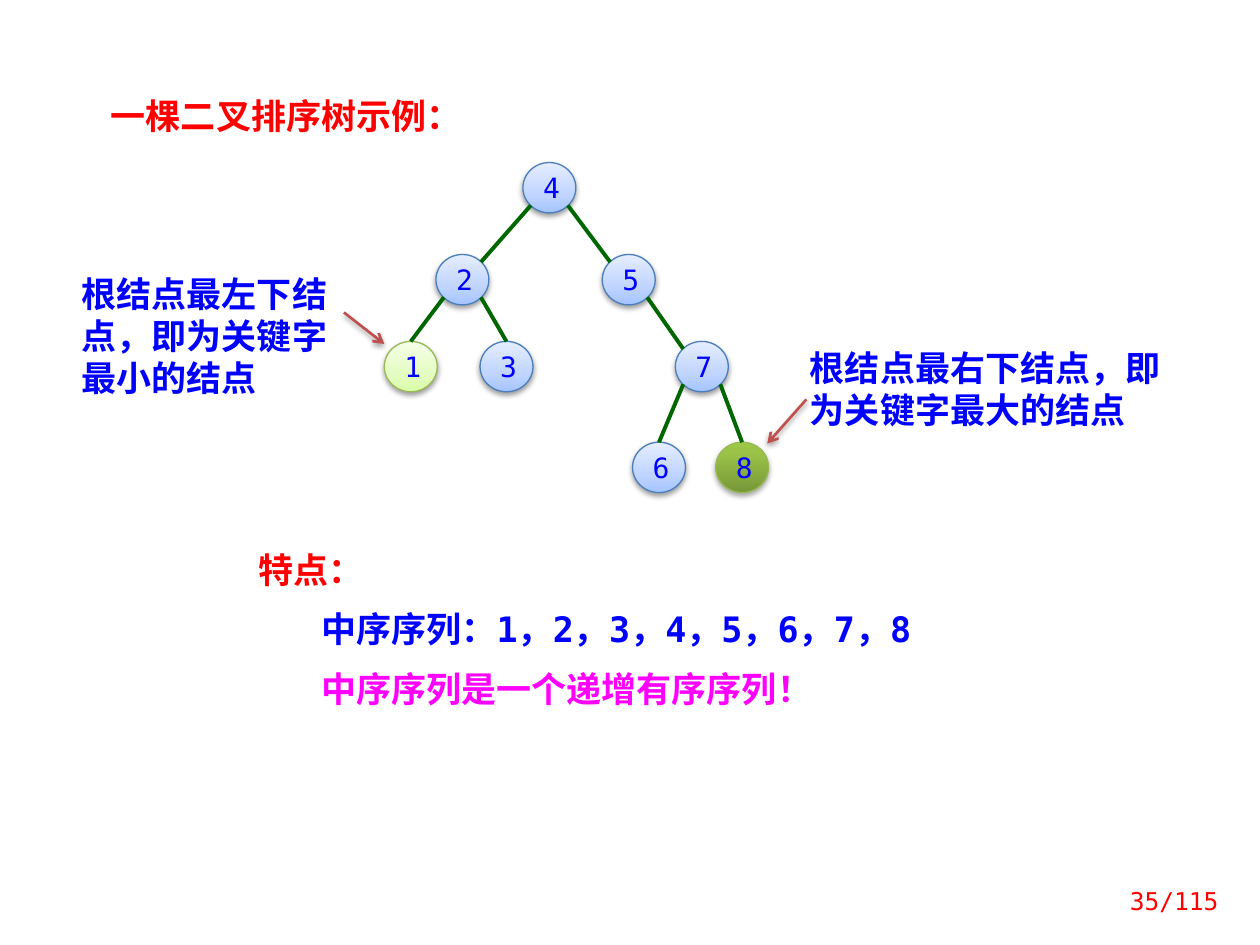
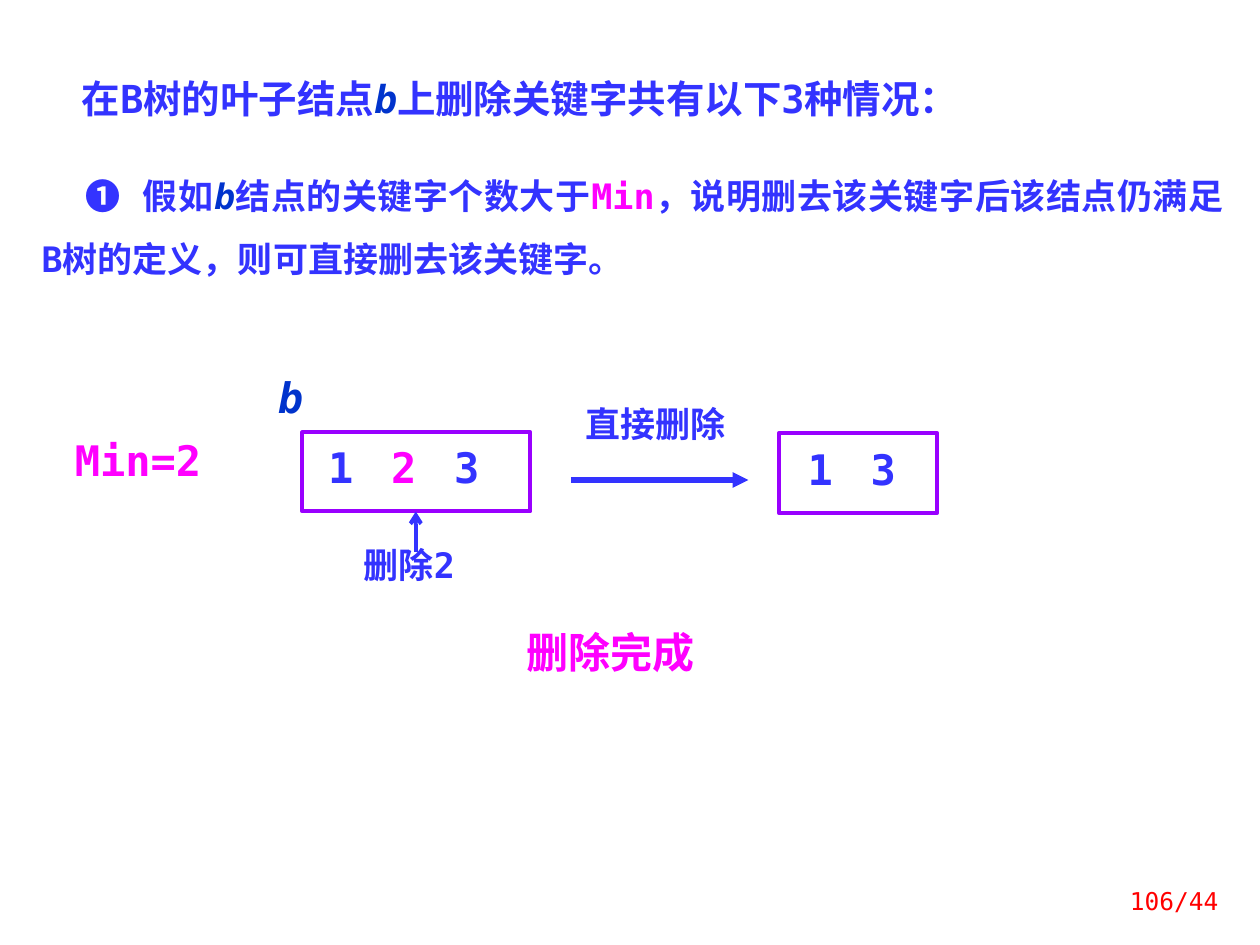
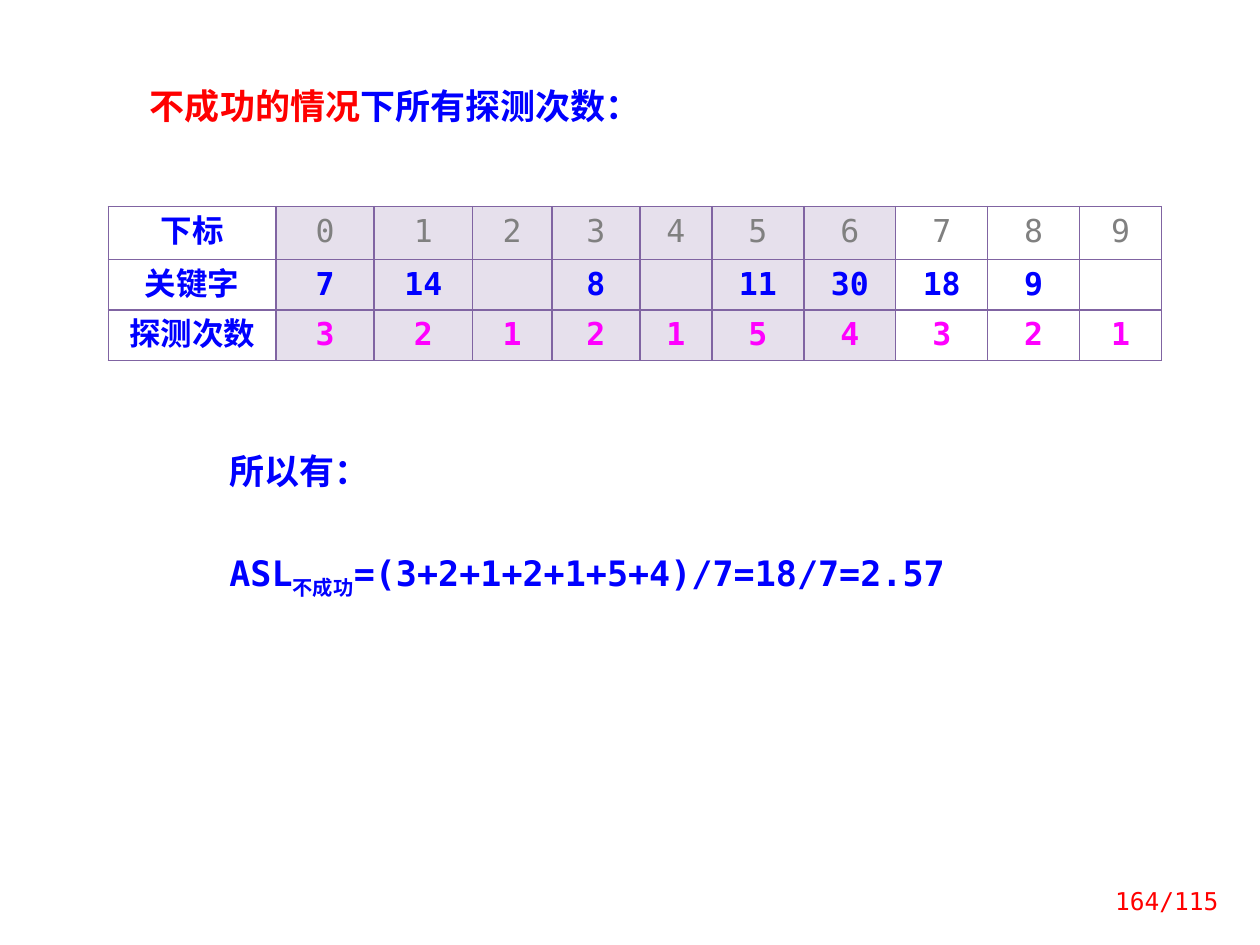
from dataclasses import dataclass
from enum import Enum
from typing import NamedTuple

from lxml.etree import SubElement
from pptx import Presentation
from pptx.dml.color import RGBColor
from pptx.enum.shapes import MSO_CONNECTOR, MSO_SHAPE
from pptx.enum.text import MSO_ANCHOR, MSO_AUTO_SIZE, PP_ALIGN
from pptx.oxml import parse_xml
from pptx.oxml.ns import nsdecls, qn
from pptx.util import Inches, Pt

# Shared look
MONO = "DejaVu Sans Mono"
CJK = "Noto Sans CJK SC"
RED, BLUE, MAGENTA = "FF0000", "0000FF", "FF00FF"
INDIGO, NAVY, PURPLE = "3333FF", "0033CC", "9900FF"
GREEN, BRICK, GRAY = "006600", "C0504D", "808080"
VIOLET, LILAC, WHITE = "8064A2", "E6E0EC", "FFFFFF"
DEFAULT_INSET = (0.1, 0.05)
KEY_STEP, KEY_WIDTH = 0.6, 0.2
SHADOW_ALPHA = 38


class Box(NamedTuple):
    left: float
    top: float
    width: float
    height: float


class Run(NamedTuple):
    text: str
    color: str
    italic: bool = False
    subscript: bool = False


@dataclass
class Paragraph:
    runs: list[Run]
    size: float = 20
    bold: bool = True
    font: str = MONO
    align: PP_ALIGN = PP_ALIGN.LEFT
    spacing: float | Pt = 1.0
    before: float = 0
    level: int = 0
    margin: float = 0
    indent: float = 0
    tabs: tuple[float, ...] = ()


@dataclass
class Label:
    box: Box
    text: str
    color: str
    size: float = 20
    italic: bool = False
    align: PP_ALIGN = PP_ALIGN.CENTER
    spacing: float = 0.8
    inset: tuple[float, float] = DEFAULT_INSET


class NodeStyle(NamedTuple):
    stops: tuple[tuple[int, str], ...]
    line: str
    shadow_alpha: int = SHADOW_ALPHA


class Site(Enum):
    """Points on a node's rim, as fractions of its size from its centre."""
    TOP = (0, -0.5)
    TOP_LEFT = (-0.35, -0.35)
    TOP_RIGHT = (0.35, -0.35)
    BOTTOM_LEFT = (-0.35, 0.35)
    BOTTOM_RIGHT = (0.35, 0.35)


class Edge(NamedTuple):
    parent: str
    parent_site: Site
    child: str
    child_site: Site


def rgb(color: str) -> RGBColor:
    return RGBColor.from_string(color)


# Text
def style_font(font, spec_paragraph: Paragraph, run: Run) -> None:
    font.name = spec_paragraph.font
    font.size = Pt(spec_paragraph.size)
    font.bold = spec_paragraph.bold
    font.italic = run.italic
    font.color.rgb = rgb(run.color)


def write_paragraph(paragraph, content: Paragraph) -> None:
    paragraph.alignment = content.align
    paragraph.line_spacing = content.spacing
    paragraph.space_before = Pt(content.before)
    paragraph.level = content.level
    properties = paragraph._p.get_or_add_pPr()
    properties.set("marL", str(Inches(content.margin)))
    properties.set("indent", str(Inches(content.indent)))
    SubElement(properties, qn("a:buNone"))
    if content.tabs:
        tab_list = SubElement(properties, qn("a:tabLst"))
        for position in content.tabs:
            SubElement(tab_list, qn("a:tab"), pos=str(Inches(position)), algn="l")
    for item in content.runs:
        run = paragraph.add_run()
        run.text = item.text
        if len(content.runs) > 1:
            style_font(run.font, content, item)
        if item.subscript:
            run._r.get_or_add_rPr().set("baseline", "-25000")
    if len(content.runs) == 1:
        style_font(paragraph.font, content, content.runs[0])


def write_text(shape, contents: list[Paragraph], anchor=MSO_ANCHOR.TOP,
               inset: tuple[float, float] = DEFAULT_INSET) -> None:
    frame = shape.text_frame
    frame.word_wrap = True
    frame.auto_size = MSO_AUTO_SIZE.NONE
    frame.vertical_anchor = anchor
    frame.margin_left = frame.margin_right = Inches(inset[0])
    frame.margin_top = frame.margin_bottom = Inches(inset[1])
    for index, content in enumerate(contents):
        paragraph = frame.add_paragraph() if index else frame.paragraphs[0]
        write_paragraph(paragraph, content)


def fill_placeholder(shape, box: Box, contents: list[Paragraph]) -> None:
    shape.left, shape.top, shape.width, shape.height = map(Inches, box)
    write_text(shape, contents)


def add_label(slide, label: Label, bold: bool = True, anchor=MSO_ANCHOR.TOP) -> None:
    shape = slide.shapes.add_textbox(*map(Inches, label.box))
    content = Paragraph([Run(label.text, label.color, label.italic)], label.size,
                        bold, align=label.align, spacing=label.spacing)
    write_text(shape, [content], anchor, label.inset)


def start_slide(presentation, title_box: Box, title: Paragraph, body_box: Box,
                body: list[Paragraph], page: str):
    slide = presentation.slides.add_slide(presentation.slide_layouts[1])
    fill_placeholder(slide.shapes.title, title_box, [title])
    fill_placeholder(slide.placeholders[1], body_box, body)
    footer = Label(Box(8.63, 6.95, 1.14, 0.4), page, RED, 14,
                   align=PP_ALIGN.RIGHT, spacing=1.0)
    add_label(slide, footer, bold=False, anchor=MSO_ANCHOR.MIDDLE)
    return slide


# Shapes and lines
def set_shadow(shape, alpha: int = 0) -> None:
    effects = SubElement(shape._element.spPr, qn("a:effectLst"))
    if alpha:
        effects.append(parse_xml(
            f'<a:outerShdw {nsdecls("a")} blurRad="{Pt(3.1)}" dist="{Pt(1.6)}" '
            f'dir="5400000" rotWithShape="0"><a:srgbClr val="000000">'
            f'<a:alpha val="{alpha * 1000}"/></a:srgbClr></a:outerShdw>'))


def set_gradient(shape, stops: tuple[tuple[int, str], ...]) -> None:
    shape.fill.background()
    properties = shape._element.spPr
    stop_xml = "".join(f'<a:gs pos="{position * 1000}"><a:srgbClr val="{color}"/></a:gs>'
                       for position, color in stops)
    gradient = parse_xml(f'<a:gradFill {nsdecls("a")} rotWithShape="1"><a:gsLst>{stop_xml}'
                         f'</a:gsLst><a:lin ang="16200000" scaled="0"/></a:gradFill>')
    properties.replace(properties.find(qn("a:noFill")), gradient)


def add_line(slide, start: tuple[float, float], end: tuple[float, float], color: str,
             width: float, head: str = "", shadow_alpha: int = 0) -> None:
    connector = slide.shapes.add_connector(
        MSO_CONNECTOR.STRAIGHT, *map(Inches, (*start, *end)))
    connector.line.color.rgb = rgb(color)
    connector.line.width = Pt(width)
    if head:
        SubElement(connector.line._get_or_add_ln(), qn("a:tailEnd"), type=head)
    set_shadow(connector, shadow_alpha)


# Slide 1: binary search tree
NODE_WIDTH, NODE_HEIGHT = 0.42, 0.4
PLAIN = NodeStyle(((0, "A4C4FF"), (35, "BFD4FF"), (100, "E6EEFF")), "4B7EBC")
SMALLEST = NodeStyle(((0, "DAFDA7"), (35, "E4FCC2"), (100, "F5FFE7")), "98B955")
LARGEST = NodeStyle(((0, "779737"), (80, "9BC348"), (100, "9DC746")), "98B955", 35)
NODE_STYLES = {"1": SMALLEST, "8": LARGEST}
NODES = {"4": (4.15, 1.29), "2": (3.46, 2.02), "1": (3.05, 2.71), "3": (3.81, 2.71),
         "5": (4.78, 2.02), "7": (5.36, 2.71), "6": (5.02, 3.51), "8": (5.68, 3.51)}
EDGES = [
    Edge("4", Site.BOTTOM_LEFT, "2", Site.TOP_RIGHT),
    Edge("2", Site.BOTTOM_LEFT, "1", Site.TOP),
    Edge("2", Site.BOTTOM_RIGHT, "3", Site.TOP),
    Edge("4", Site.BOTTOM_RIGHT, "5", Site.TOP_LEFT),
    Edge("5", Site.BOTTOM_RIGHT, "7", Site.TOP_LEFT),
    Edge("7", Site.BOTTOM_LEFT, "6", Site.TOP),
    Edge("7", Site.BOTTOM_RIGHT, "8", Site.TOP),
]


def add_node(slide, key: str) -> None:
    style = NODE_STYLES.get(key, PLAIN)
    box = Box(*NODES[key], NODE_WIDTH, NODE_HEIGHT)
    shape = slide.shapes.add_shape(MSO_SHAPE.OVAL, *map(Inches, box))
    set_gradient(shape, style.stops)
    shape.line.color.rgb = rgb(style.line)
    shape.line.width = Pt(0.75)
    set_shadow(shape, style.shadow_alpha)
    content = Paragraph([Run(key, BLUE)], 16, bold=False, spacing=Pt(19.2))
    write_text(shape, [content], MSO_ANCHOR.MIDDLE)


def site_point(key: str, site: Site) -> tuple[float, float]:
    left, top = NODES[key]
    across, down = site.value
    return left + NODE_WIDTH * (0.5 + across), top + NODE_HEIGHT * (0.5 + down)


def build_tree_slide(presentation) -> None:
    slide = start_slide(
        presentation, Box(0.78, 0.7, 3.05, 0.44),
        Paragraph([Run("一棵二叉排序树示例：", RED)]),
        Box(1.95, 4.3, 5.86, 1.45),
        [Paragraph([Run("特点：", RED)], font=CJK),
         Paragraph([Run("中序序列：1，2，3，4，5，6，7，8", BLUE)],
                   before=10, level=1, margin=0.5),
         Paragraph([Run("中序序列是一个递增有序序列！", MAGENTA)], font=CJK,
                   before=10, level=1, margin=0.5)],
        "35/115")
    for key in NODES:
        add_node(slide, key)
    for edge in EDGES:
        add_line(slide, site_point(edge.parent, edge.parent_site),
                 site_point(edge.child, edge.child_site), GREEN, 2.25)
    for box, text in [
        (Box(0.55, 2.11, 2.19, 1.11), "根结点最左下结点，即为关键字最小的结点"),
        (Box(6.33, 2.7, 3.13, 0.77), "根结点最右下结点，即为关键字最大的结点"),
    ]:
        add_label(slide, Label(box, text, BLUE, align=PP_ALIGN.LEFT, spacing=1.0))
    for start, end in [((6.4, 3.17), (6.09, 3.52)), ((2.73, 2.48), (3.05, 2.73))]:
        add_line(slide, start, end, BRICK, 1.5, "arrow", SHADOW_ALPHA)


# Slide 2: deleting a key from a B-tree leaf
def add_leaf(slide, box: Box, keys: list[Run]) -> None:
    shape = slide.shapes.add_shape(MSO_SHAPE.RECTANGLE, *map(Inches, box))
    shape.fill.solid()
    shape.fill.fore_color.rgb = rgb(WHITE)
    shape.line.color.rgb = rgb(PURPLE)
    shape.line.width = Pt(2.25)
    shape.shadow.inherit = False
    gaps = len(keys) - 1
    inset = (box.width - gaps * KEY_STEP - KEY_WIDTH) / 2
    runs = [key._replace(text="\t" + key.text) if index else key
            for index, key in enumerate(keys)]
    tabs = tuple(KEY_STEP * (index + 1) for index in range(gaps))
    write_text(shape, [Paragraph(runs, 24, spacing=0.8, tabs=tabs)],
               MSO_ANCHOR.MIDDLE, (inset, 0.05))


def build_deletion_slide(presentation) -> None:
    slide = start_slide(
        presentation, Box(0.55, 0.62, 8.98, 0.47),
        Paragraph([Run("在B树的叶子结点", INDIGO), Run("b", NAVY, italic=True),
                   Run("上删除关键字共有以下3种情况：", INDIGO)], 22, spacing=0.8),
        Box(0.23, 1.17, 9.58, 1.11),
        [Paragraph([Run("❶ 假如", INDIGO), Run("b", NAVY, italic=True),
                    Run("结点的关键字个数大于", INDIGO), Run("Min", MAGENTA),
                    Run("，说明删去该关键字后该结点仍满足B树的定义，则可直接删去该关键字。",
                        INDIGO)],
                   align=PP_ALIGN.JUSTIFY, spacing=1.5, indent=0.35)],
        "106/44")
    one, two, three = Run("1", INDIGO), Run("2", MAGENTA), Run("3", INDIGO)
    add_leaf(slide, Box(2.4, 3.43, 1.81, 0.63), [one, two, three])
    add_leaf(slide, Box(6.18, 3.44, 1.26, 0.63), [one, three])
    for label in [
        Label(Box(1.95, 3.03, 0.71, 0.4), "b", NAVY, 24, italic=True, inset=(0, 0)),
        Label(Box(4.53, 3.26, 1.34, 0.33), "直接删除", INDIGO, inset=(0, 0)),
        Label(Box(2.58, 4.38, 1.34, 0.33), "删除2", INDIGO, inset=(0, 0)),
        Label(Box(3.75, 5, 2.19, 0.5), "删除完成", MAGENTA, 24),
        Label(Box(0.39, 3.48, 1.41, 0.5), "Min=2", MAGENTA, 24),
    ]:
        add_label(slide, label)
    add_line(slide, (4.53, 3.81), (5.94, 3.81), INDIGO, 3, "triangle")
    add_line(slide, (3.3, 4.38), (3.3, 4.06), INDIGO, 2.25, "arrow")


# Slide 3: probe counts of a hash table
COLUMN_WIDTHS = [1.33, 0.78, 0.78, 0.63, 0.7, 0.57, 0.73, 0.73, 0.73, 0.73, 0.65]
ROW_HEIGHTS = [0.42, 0.4, 0.4]
SHADED_COLUMNS = range(1, 8)
PROBE_ROWS = [
    ("下标", GRAY, [str(index) for index in range(10)]),
    ("关键字", BLUE, ["7", "14", "", "8", "", "11", "30", "18", "9", ""]),
    ("探测次数", MAGENTA, ["3", "2", "1", "2", "1", "5", "4", "3", "2", "1"]),
]


def set_borders(cell) -> None:
    properties = cell._tc.get_or_add_tcPr()
    for side in ("lnL", "lnR", "lnT", "lnB"):
        properties.append(parse_xml(
            f'<a:{side} {nsdecls("a")} w="{Pt(1)}"><a:solidFill>'
            f'<a:srgbClr val="{VIOLET}"/></a:solidFill></a:{side}>'))


def add_probe_table(slide) -> None:
    box = Box(0.86, 1.64, sum(COLUMN_WIDTHS), sum(ROW_HEIGHTS))
    table = slide.shapes.add_table(
        len(ROW_HEIGHTS), len(COLUMN_WIDTHS), *map(Inches, box)).table
    table.first_row = table.horz_banding = False
    for column, width in zip(table.columns, COLUMN_WIDTHS):
        column.width = Inches(width)
    for row, height, (heading, color, values) in zip(table.rows, ROW_HEIGHTS, PROBE_ROWS):
        row.height = Inches(height)
        for index, (cell, text) in enumerate(zip(row.cells, [heading, *values])):
            set_borders(cell)
            if index in SHADED_COLUMNS:
                cell.fill.solid()
                cell.fill.fore_color.rgb = rgb(LILAC)
            else:
                cell.fill.background()
            cell.text = text
            paragraph = cell.text_frame.paragraphs[0]
            paragraph.alignment = PP_ALIGN.CENTER
            font = paragraph.font
            font.name, font.size = MONO, Pt(18)
            font.bold = index == 0 or color != GRAY
            font.color.rgb = rgb(color if index else BLUE)


def build_probe_slide(presentation) -> None:
    slide = start_slide(
        presentation, Box(1.09, 0.62, 4.57, 0.44),
        Paragraph([Run("不成功的情况", RED), Run("下所有探测次数：", BLUE)]),
        Box(1.72, 3.52, 6.33, 1.4),
        [Paragraph([Run("所以有：", BLUE)]),
         Paragraph([Run("ASL", BLUE), Run("不成功", BLUE, subscript=True),
                    Run("=(3+2+1+2+1+5+4)/7=18/7=2.57", BLUE)], before=34)],
        "164/115")
    add_probe_table(slide)


def match_east_asian_fonts(presentation) -> None:
    for slide in presentation.slides:
        for latin in list(slide.element.iter(qn("a:latin"))):
            latin.addnext(parse_xml(f'<a:ea {nsdecls("a")} typeface="{MONO}"/>'))


def main() -> None:
    presentation = Presentation()
    presentation.slide_width, presentation.slide_height = Inches(10), Inches(7.5)
    build_tree_slide(presentation)
    build_deletion_slide(presentation)
    build_probe_slide(presentation)
    match_east_asian_fonts(presentation)
    presentation.save("out.pptx")


if __name__ == "__main__":
    main()
